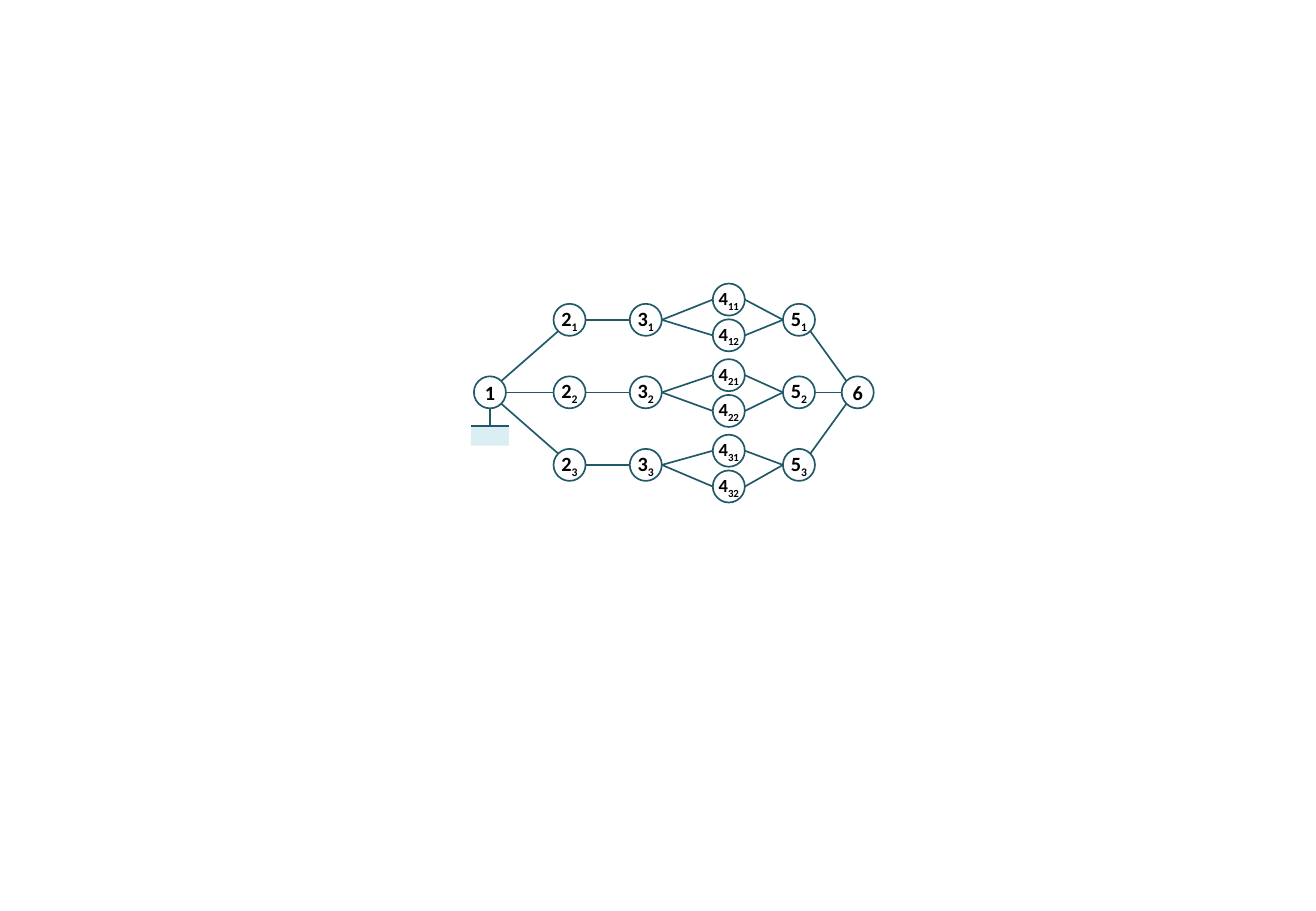
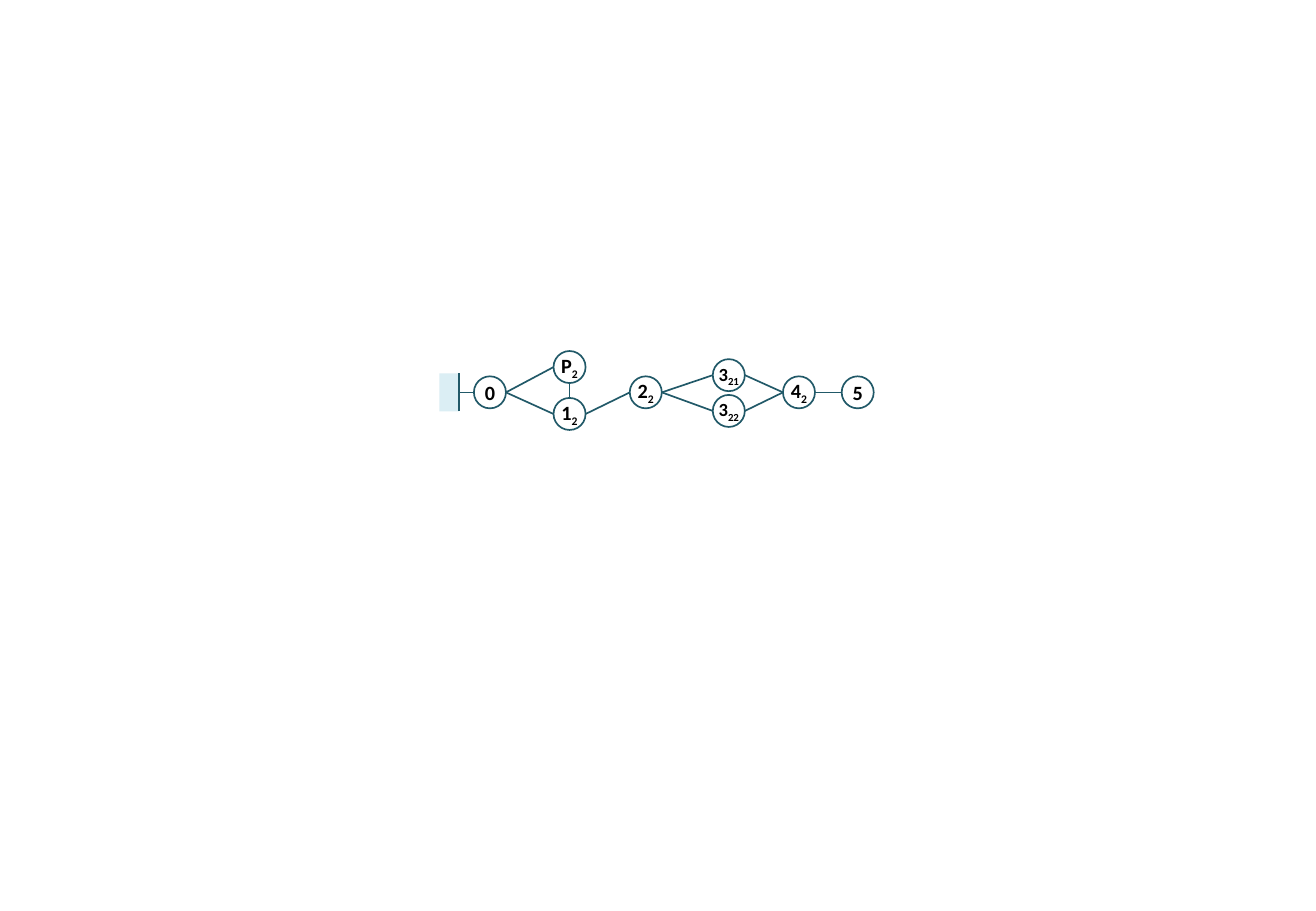
from dataclasses import dataclass
from math import cos, radians, sin

from lxml import etree
from pptx import Presentation
from pptx.dml import color
from pptx.enum import shapes, text
from pptx.oxml import ns
from pptx.util import Pt


@dataclass(frozen=True)
class Theme:
    line: color.RGBColor = color.RGBColor(0x21, 0x59, 0x68)
    ground: color.RGBColor = color.RGBColor(0xDB, 0xEE, 0xF4)
    node: color.RGBColor = color.RGBColor(0xFF, 0xFF, 0xFF)
    ink: color.RGBColor = color.RGBColor(0, 0, 0)
    font: str = "Calibri"
    size: int = 12
    small: int = 11
    weight: float = 1


@dataclass(frozen=True)
class Box:
    left: float
    top: float
    width: float
    height: float

    @property
    def middle(self):
        return self.top + self.height / 2


THEME = Theme()
BOX = Box(260, 167.6, 258, 130)
COLUMNS = (30.4, 77.6, 122.8, 172, 213.6, 248.4)
RADIUS = 9.5
ROW_PITCH = 43
PAIR_PITCH = 44.8
PAIR_OFFSET = 10.6
GROUND_LENGTH, GROUND_DEPTH = 22.6, 11.6
RIGHT, DOWN, LEFT, UP = 0, 90, 180, 270


def add_line(s, start, end):
    line = s.shapes.add_connector(
        shapes.MSO_CONNECTOR.STRAIGHT, *(Pt(v) for v in (*start, *end)))
    line.line.color.rgb = THEME.line
    line.line.width = Pt(THEME.weight)
    etree.SubElement(line._element.spPr, ns.qn("a:effectLst"))
    return line


def add_node(s, center, label, sub=""):
    x, y = center
    sp = s.shapes.add_shape(
        shapes.MSO_SHAPE.OVAL, Pt(x - RADIUS), Pt(y - RADIUS),
        Pt(2 * RADIUS), Pt(2 * RADIUS))
    sp.shadow.inherit = False
    sp.fill.solid()
    sp.fill.fore_color.rgb = THEME.node
    sp.line.color.rgb = THEME.line
    sp.line.width = Pt(THEME.weight)
    tf = sp.text_frame
    tf.margin_left = tf.margin_top = tf.margin_right = tf.margin_bottom = 0
    tf.word_wrap = False
    tf.vertical_anchor = text.MSO_ANCHOR.MIDDLE
    p = tf.paragraphs[0]
    p.text = label
    p.alignment = text.PP_ALIGN.CENTER
    if sub:
        r = p.add_run()
        r.text = sub
        r._r.get_or_add_rPr().set("baseline", "-25000")
    for r in p.runs:
        r.font.name = THEME.font
        r.font.size = Pt(THEME.small if len(sub) > 1 else THEME.size)
        r.font.bold = True
        r.font.color.rgb = THEME.ink
    return center


def port(center, angle):
    x, y = center
    return x + RADIUS * cos(radians(angle)), y + RADIUS * sin(radians(angle))


def link(s, a, b, leave=RIGHT, enter=LEFT):
    add_line(s, port(a, leave), port(b, enter))


def add_ground(s, node, side, gap):
    x, y = node
    half = GROUND_LENGTH / 2
    if side == DOWN:
        left, top = x - half, y + gap
        width, height = GROUND_LENGTH, GROUND_DEPTH
        surface, site = ((left, top), (left + width, top)), 0
    else:
        left, top = x - gap - GROUND_DEPTH, y - half
        width, height = GROUND_DEPTH, GROUND_LENGTH
        surface, site = ((x - gap, top), (x - gap, top + height)), 3
    sp = s.shapes.add_shape(
        shapes.MSO_SHAPE.RECTANGLE, Pt(left), Pt(top), Pt(width), Pt(height))
    sp.shadow.inherit = False
    sp.fill.solid()
    sp.fill.fore_color.rgb = THEME.ground
    sp.line.fill.background()
    stem = add_line(s, port(node, side), (x, y))
    stem.end_connect(sp, site)
    add_line(s, *surface)


def add_branch(s, box, y, pair_y, first, index):
    xs = [box.left + c for c in COLUMNS]
    start = add_node(s, (xs[2], y), str(first), index)
    end = add_node(s, (xs[4], y), str(first + 2), index)
    for n, offset in enumerate((-PAIR_OFFSET, PAIR_OFFSET), 1):
        mid = add_node(s, (xs[3], pair_y + offset), str(first + 1), f"{index}{n}")
        link(s, start, mid)
        link(s, mid, end)
    return start, end


def parallel_slide(prs, box):
    s = prs.slides.add_slide(prs.slide_layouts[6])
    root = add_node(s, (box.left + COLUMNS[0], box.middle), "1")
    sink = add_node(s, (box.left + COLUMNS[5], box.middle), "6")
    add_ground(s, root, DOWN, 20)
    for row in (-1, 0, 1):
        y = box.middle + row * ROW_PITCH
        pair_y = box.middle + 0.4 + row * PAIR_PITCH
        index = str(row + 2)
        second = add_node(s, (box.left + COLUMNS[1], y), "2", index)
        third, fifth = add_branch(s, box, y, pair_y, 3, index)
        link(s, root, second, row * 45, LEFT + row * 45)
        link(s, second, third)
        link(s, fifth, sink, RIGHT - row * 45, LEFT - row * 45)


def single_slide(prs, box):
    s = prs.slides.add_slide(prs.slide_layouts[6])
    root = add_node(s, (box.left + COLUMNS[0], box.middle), "0")
    sink = add_node(s, (box.left + COLUMNS[5], box.middle), "5")
    add_ground(s, root, LEFT, 18.4)
    upper = add_node(s, (box.left + COLUMNS[1], box.middle - 15), "P", "2")
    lower = add_node(s, (box.left + COLUMNS[1], box.middle + 12.8), "1", "2")
    second, fourth = add_branch(s, box, box.middle, box.middle + 0.4, 2, "2")
    for a, b in ((root, upper), (root, lower), (lower, second), (fourth, sink)):
        link(s, a, b)
    link(s, upper, lower, DOWN, UP)


def main():
    prs = Presentation()
    prs.slide_width, prs.slide_height = Pt(780), Pt(540)
    parallel_slide(prs, BOX)
    single_slide(prs, BOX)
    prs.save("out.pptx")


if __name__ == "__main__":
    main()
